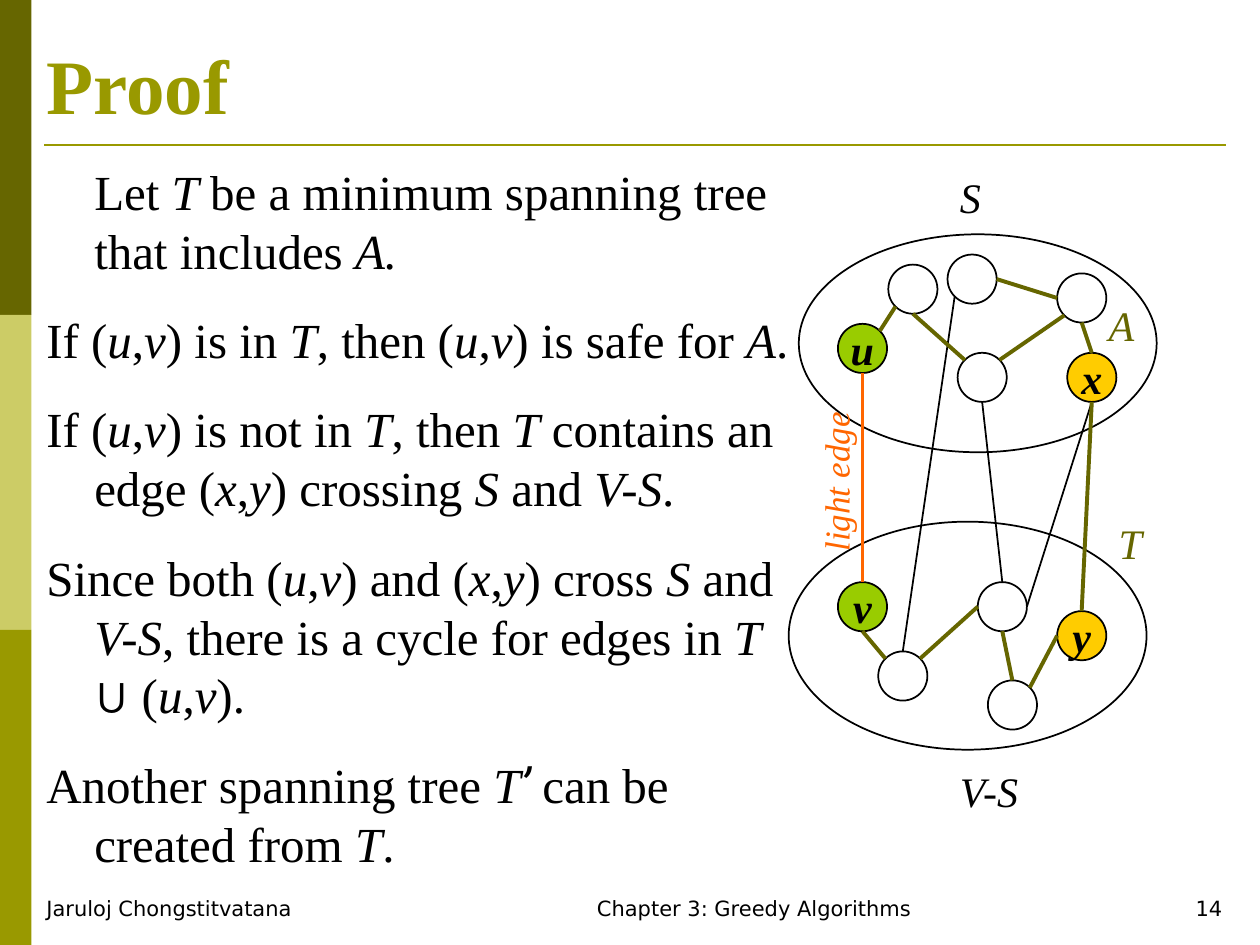
import math
from dataclasses import dataclass

from lxml import etree
from pptx import Presentation
from pptx.dml.color import RGBColor
from pptx.enum import shapes, text
from pptx.oxml import ns
from pptx.util import Inches, Pt


@dataclass(frozen=True)
class Theme:
    """Colours, fonts and type sizes of the slide."""
    ink: str = "000000"
    olive: str = "999900"
    dark: str = "666600"
    pale: str = "CCCC66"
    green: str = "99CC00"
    gold: str = "FFCC00"
    orange: str = "FF6600"
    serif: str = "Times New Roman"
    sans: str = "DejaVu Sans"
    title: int = 44
    body: int = 28
    label: int = 24
    small: int = 20
    footer: int = 12


THEME = Theme()
SYMBOL_FONTS = {"∪": "Arial", "’": "Roboto"}
PROOF = [
    "Let *T *be a minimum spanning tree that includes *A.*",
    "If (*u*,*v*) is in *T*, then (*u*,*v*) is safe for *A*.",
    "If (*u*,*v*) is not in *T*, then *T* contains an edge (*x*,*y*) crossing *S *and *V-S*.",
    "Since both (*u*,*v*) and (*x*,*y*) cross *S *and *V-S*, there is a cycle for edges in "
    "*T *|∪| (*u*,*v*).",
    "Another spanning tree *T|’|* can be created from *T*.",
]
NODE = 0.39
SETS = [(0.08, 0.55, 2.84, 1.73), (0, 2.83, 2.84, 1.81)]
VERTICES = {
    "u": (0.39, 1.26, THEME.green), "v": (0.39, 3.31, THEME.green),
    "x": (2.21, 1.49, THEME.gold), "y": (2.13, 3.54, THEME.gold),
    "a": (1.26, 0.71, None), "b": (2.13, 0.86, None), "c": (0.79, 0.79, None),
    "d": (1.34, 1.49, None), "e": (0.71, 3.86, None), "f": (1.5, 3.31, None),
    "g": (1.58, 4.09, None),
}
ANGLES = {"E": 0, "SE": 45, "S": 90, "SW": 135, "W": 180, "NW": 225, "N": 270, "NE": 315}
TREE = ["b W a E", "b SW d NE", "d NW c S", "f S g N", "f W e NE", "g NE y W",
        "v S e NW", "b S x N", "u NE c SW", "x S y N"]
CROSSING = ["d S f N", "x S f E", "a SW e N"]
LABELS = [
    ("S", 1.26, 0, 0.37, THEME.ink), ("V-S", 1.26, 4.72, 0.71, THEME.ink),
    ("A", 2.44, 1.02, 0.37, THEME.dark), ("T", 2.52, 2.75, 0.37, THEME.dark),
]


def style(paragraph, size, color=THEME.ink, face=THEME.serif, bold=False, italic=False):
    """Set the font of a whole paragraph."""
    font = paragraph.font
    font.name, font.size, font.bold, font.italic = face, Pt(size), bold, italic
    font.color.rgb = RGBColor.from_string(color)


def add_form(slide, kind, box, fill=None, line=None):
    """Add a preset shape with an optional fill and outline."""
    form = slide.shapes.add_shape(kind, *map(Inches, box))
    form.shadow.inherit = False
    if fill:
        form.fill.solid()
        form.fill.fore_color.rgb = RGBColor.from_string(fill)
    else:
        form.fill.background()
    if line:
        form.line.color.rgb = RGBColor.from_string(line)
        form.line.width = Pt(1)
    else:
        form.line.fill.background()
    return form


def add_line(slide, start, end, color, width):
    """Add a straight line between two points."""
    line = slide.shapes.add_connector(shapes.MSO_CONNECTOR.STRAIGHT, *map(Inches, (*start, *end)))
    line.line.color.rgb = RGBColor.from_string(color)
    line.line.width = Pt(width)
    etree.SubElement(line._element.spPr, ns.qn("a:effectLst"))


def add_label(slide, box, words, size, align=text.PP_ALIGN.LEFT, **font):
    """Add a one-paragraph text box."""
    label = slide.shapes.add_textbox(*map(Inches, box))
    label.text_frame.word_wrap = True
    paragraph = label.text_frame.paragraphs[0]
    paragraph.text = words
    paragraph.alignment = align
    style(paragraph, size, **font)
    return label


def add_side_bar(slide, box):
    """Stack three equal colour bands in the box."""
    left, top, width, height = box
    band = height / 3
    for row, color in enumerate((THEME.dark, THEME.pale, THEME.olive)):
        add_form(slide, shapes.MSO_SHAPE.RECTANGLE, (left, top + row * band, width, band), color)


def add_title(slide, box, words):
    """Place the title and the rule below it."""
    left, top, width, height = box
    title = slide.shapes.title
    title.left, title.top, title.width, title.height = map(Inches, box)
    title.text_frame.text = words
    title.text_frame.vertical_anchor = text.MSO_ANCHOR.BOTTOM
    paragraph = title.text_frame.paragraphs[0]
    paragraph.alignment = text.PP_ALIGN.LEFT
    style(paragraph, THEME.title, THEME.olive, bold=True)
    rule = top + height + 0.07
    add_line(slide, (left + 0.08, rule), (left + width - 0.07, rule), THEME.olive, 1.5)


def add_proof(slide, box):
    """Write the proof steps, with *italic* parts and |symbols|."""
    frame = slide.shapes.add_textbox(*map(Inches, box)).text_frame
    frame.word_wrap = True
    for step, words in enumerate(PROOF):
        paragraph = frame.add_paragraph() if step else frame.paragraphs[0]
        properties = paragraph._p.get_or_add_pPr()
        properties.set("marL", str(Inches(0.38)))
        properties.set("indent", str(Inches(-0.38 if step else 0)))
        paragraph.space_before = Pt(17.5 if step else 0)
        style(paragraph, THEME.body)
        for position, part in enumerate(words.split("*")):
            for piece in filter(None, part.split("|")):
                run = paragraph.add_run()
                run.text = piece
                run.font.italic = position % 2 == 1
                if piece in SYMBOL_FONTS:
                    run.font.name = SYMBOL_FONTS[piece]


def add_graph(slide, box):
    """Draw the two vertex sets, their vertices, edges and labels."""
    left, top = box[:2]

    def site(name, side):
        """Return the point on a vertex at a compass side."""
        x, y, _ = VERTICES[name]
        angle = math.radians(ANGLES[side])
        return (left + x + NODE / 2 * (1 + math.cos(angle)),
                top + y + NODE / 2 * (1 + math.sin(angle)))

    for x, y, width, height in SETS:
        add_form(slide, shapes.MSO_SHAPE.OVAL, (left + x, top + y, width, height), line=THEME.ink)
    for name, (x, y, fill) in VERTICES.items():
        vertex = add_form(slide, shapes.MSO_SHAPE.OVAL, (left + x, top + y, NODE, NODE),
                          fill, THEME.ink)
        if fill:
            frame = vertex.text_frame
            frame.word_wrap = False
            frame.vertical_anchor = text.MSO_ANCHOR.MIDDLE
            frame.text = name
            frame.paragraphs[0].alignment = text.PP_ALIGN.CENTER
            style(frame.paragraphs[0], THEME.label, bold=True, italic=True)
    for edges, color, width in ((CROSSING, THEME.ink, 1), (TREE, THEME.dark, 2.25),
                                (["u S v N"], THEME.orange, 1.5)):
        for edge in edges:
            start, start_side, end, end_side = edge.split()
            add_line(slide, site(start, start_side), site(end, end_side), color, width)
    for words, x, y, width, color in LABELS:
        add_label(slide, (left + x, top + y, width, 0.5), words, THEME.label,
                  color=color, italic=True)
    light_edge = add_label(slide, (left - 0.3, top + 2.27, 1.35, 0.44), "light edge",
                           THEME.small, color=THEME.orange, italic=True)
    light_edge.rotation = 270


def add_footer(slide, box):
    """Place author, chapter and page number in one row."""
    left, top, _, height = box
    for words, x, width, align in (
        ("Jaruloj Chongstitvatana", 0, 3.15, text.PP_ALIGN.LEFT),
        ("Chapter 3: Greedy Algorithms", 3.15, 5.13, text.PP_ALIGN.CENTER),
        ("14", 8.43, 1.1, text.PP_ALIGN.RIGHT),
    ):
        add_label(slide, (left + x, top, width, height), words, THEME.footer, align,
                  face=THEME.sans)


def main():
    """Build and save the slide."""
    deck = Presentation()
    deck.slide_width, deck.slide_height = Inches(10), Inches(7.5)
    slide = deck.slides.add_slide(deck.slide_layouts[5])
    add_side_bar(slide, (0, 0, 0.25, 7.5))
    add_title(slide, (0.27, 0.21, 9.53, 0.87), "Proof")
    add_proof(slide, (0.27, 1.23, 6.14, 5.75))
    add_graph(slide, (6.26, 1.31, 2.92, 5.22))
    add_footer(slide, (0.27, 7.06, 9.53, 0.28))
    deck.save("out.pptx")


if __name__ == "__main__":
    main()
